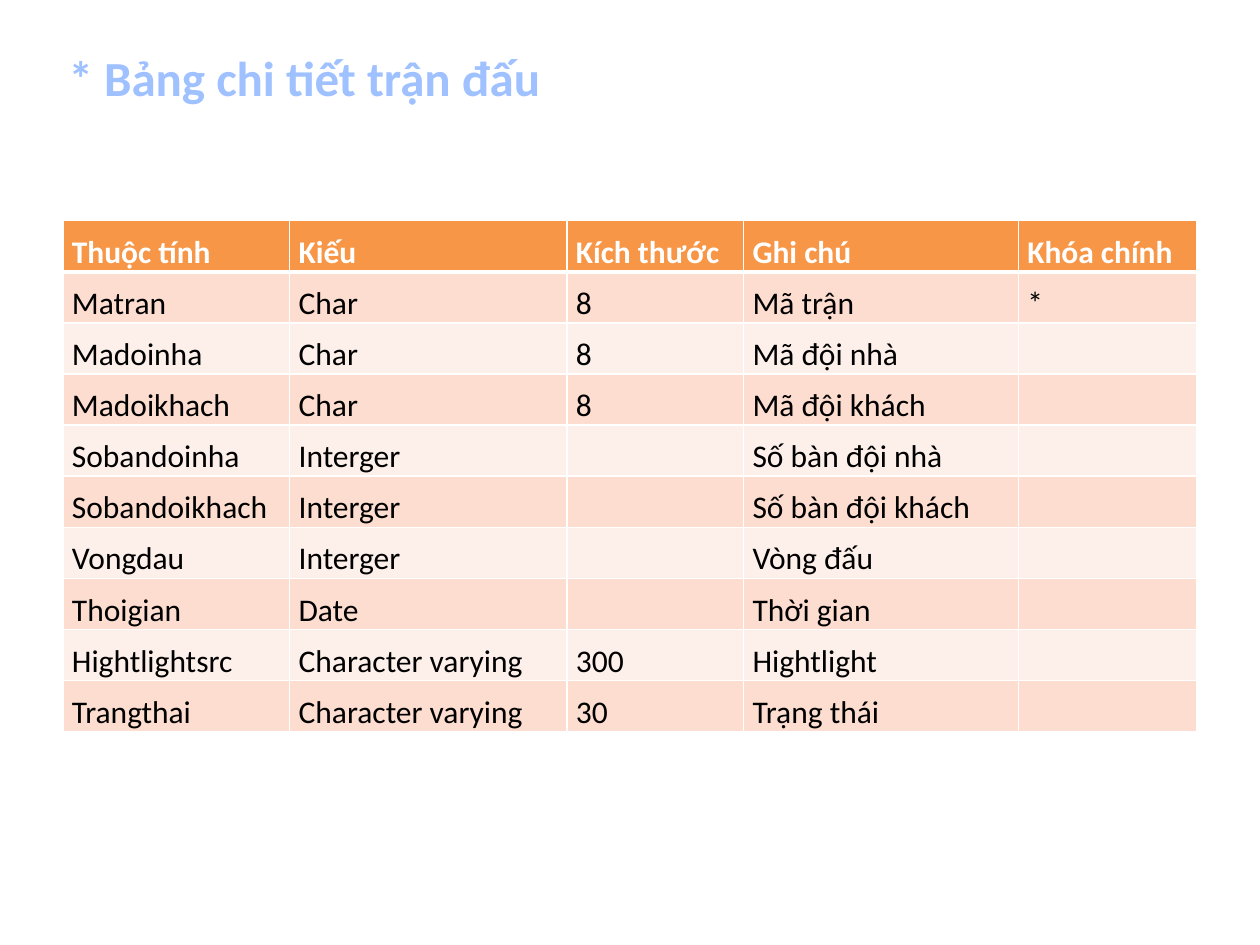
import pptx
import pptx.dml.color
import pptx.enum.text
import pptx.oxml.ns
import pptx.util
from lxml import etree

Cm, Pt = pptx.util.Cm, pptx.util.Pt
PP_ALIGN = pptx.enum.text.PP_ALIGN
COLORS = {
    "title": "A0C1FF",
    "header": "F79646",
    "odd": "FCDDCF",
    "even": "FDEFE9",
    "white": "FFFFFF",
    "black": "000000",
}


def write(tf, text, size=18, color="black", bold=False, align=PP_ALIGN.JUSTIFY, spacing=1.15):
    p = tf.paragraphs[0]
    p.alignment = align
    p.line_spacing = spacing
    r = p.add_run()
    r.text = text
    r.font.name = "Calibri"
    r.font.size = Pt(size)
    r.font.bold = bold
    r.font.color.rgb = pptx.dml.color.RGBColor.from_string(COLORS[color])


def add_border(cell, side, width):
    ns = pptx.oxml.ns.qn
    tcPr = cell._tc.get_or_add_tcPr()
    ln = etree.SubElement(tcPr, ns(f"a:ln{side}"), w=str(Pt(width)))
    fill = etree.SubElement(ln, ns("a:solidFill"))
    etree.SubElement(fill, ns("a:srgbClr"), val=COLORS["white"])


prs = pptx.Presentation()
prs.slide_width, prs.slide_height = Cm(25.4), Cm(19.05)
s = prs.slides.add_slide(prs.slide_layouts[6])

# Attribute table
rows = [
    ("Thuộc tính", "Kiếu", "Kích thước", "Ghi chú", "Khóa chính"),
    ("Matran", "Char", "8", "Mã trận", "*"),
    ("Madoinha", "Char", "8", "Mã đội nhà", ""),
    ("Madoikhach", "Char", "8", "Mã đội khách", ""),
    ("Sobandoinha", "Interger", "", "Số bàn đội nhà", ""),
    ("Sobandoikhach", "Interger", "", "Số bàn đội khách", ""),
    ("Vongdau", "Interger", "", "Vòng đấu", ""),
    ("Thoigian", "Date", "", "Thời gian", ""),
    ("Hightlightsrc", "Character varying", "300", "Hightlight", ""),
    ("Trangthai", "Character varying", "30", "Trạng thái", ""),
]
widths = [4.57, 5.59, 3.56, 5.54, 3.6]
row_height = 1.03
table = s.shapes.add_table(len(rows), len(widths), Cm(1.27), Cm(4.45),
                           Cm(sum(widths)), Cm(row_height * len(rows))).table
table.horz_banding = False
for column, width in zip(table.columns, widths):
    column.width = Cm(width)

for i, row in enumerate(rows):
    table.rows[i].height = Cm(row_height)
    band = "header" if i == 0 else "odd" if i % 2 else "even"
    for j, text in enumerate(row):
        cell = table.cell(i, j)
        cell.margin_left = cell.margin_right = Cm(0.18)
        cell.margin_top = cell.margin_bottom = 0
        cell.vertical_anchor = pptx.enum.text.MSO_ANCHOR.BOTTOM
        # A thick rule separates the header from the body
        for side, thick in (("L", False), ("R", False), ("T", i == 1), ("B", i == 0)):
            add_border(cell, side, 3 if thick else 1)
        cell.fill.solid()
        cell.fill.fore_color.rgb = pptx.dml.color.RGBColor.from_string(COLORS[band])
        if text:
            write(cell.text_frame, text, bold=i == 0, color="black" if i else "white")

# Title
sp = s.shapes.add_textbox(Cm(1.07), Cm(0.84), Cm(10.13), Cm(1.45))
tf = sp.text_frame
tf.word_wrap = False
tf.auto_size = pptx.enum.text.MSO_AUTO_SIZE.SHAPE_TO_FIT_TEXT
write(tf, "* Bảng chi tiết trận đấu", size=28, color="title", bold=True,
      align=PP_ALIGN.CENTER, spacing=1.0)

prs.save("out.pptx")
